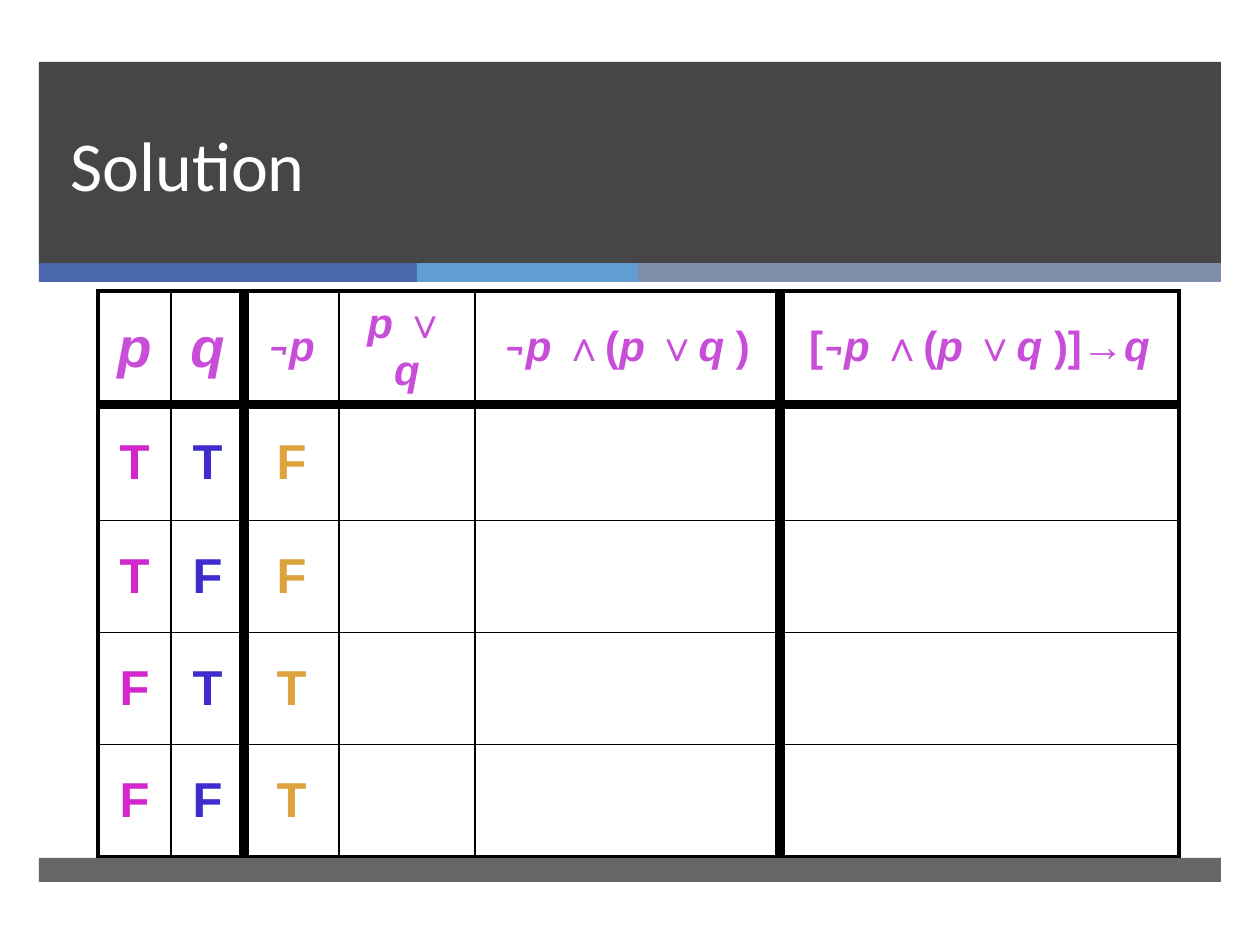
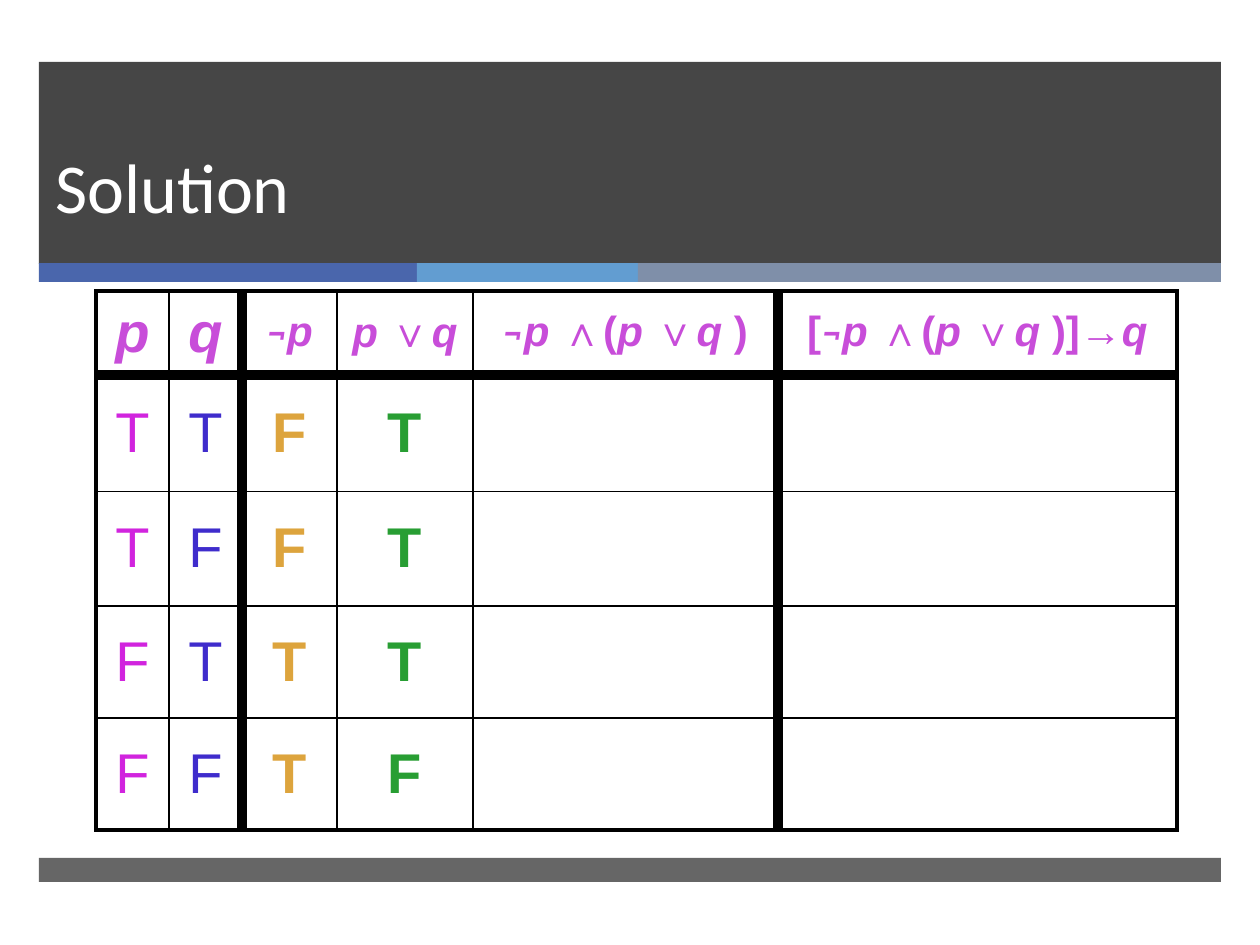
from lxml import etree
from pptx import Presentation
from pptx.dml.color import RGBColor
from pptx.enum.shapes import MSO_SHAPE
from pptx.enum.text import MSO_ANCHOR, PP_ALIGN
from pptx.oxml.ns import qn
from pptx.util import Emu, Pt

RECTANGLE = MSO_SHAPE.RECTANGLE
MIDDLE, BOTTOM = MSO_ANCHOR.MIDDLE, MSO_ANCHOR.BOTTOM
CENTER = PP_ALIGN.CENTER

PIXEL = 914400 // 126
BLACK, WHITE, DARK = "000000", "FFFFFF", "262626"
HEADER_COLOR, GOLD, BLUE, GREEN = "C84DD9", "DDA43D", "3F2CCC", "289E33"

BANDS = [
    ((39, 62, 1182, 202), DARK, 85),
    ((39, 263, 378, 19), "4A66AC", 100),
    ((417, 263, 221, 19), "629DD1", 100),
    ((638, 263, 583, 19), "7F8FA9", 100),
    ((39, 858, 1182, 24), DARK, 70),
]
TITLE_SIZE = (1076, 150)
COLUMN_WIDTHS = [73, 73, 95, 136, 305, 399]
VERTICAL_RULES = [2.25, 1, 6, 1, 1, 6, 2.25]
HORIZONTAL_RULES = [2.25, 6, 0.25, 1, 1, 2.25]

CONJUNCTION = ["¬", "p ", "∧(", "p ", "∨", "q "]


def header_formulas(disjunction):
    return [["p"], ["q"], ["¬", "p"], disjunction,
            CONJUNCTION + [")"], ["["] + CONJUNCTION + [")]→", "q"]]


SLIDES = [
    {
        "title": "Solution ", "title_at": (58, 62), "table_at": (98, 291),
        "row_heights": [84, 116, 112, 112, 112],
        "headers": header_formulas(["p ", "∨ ", "q"]),
        "truth_columns": ["TTFF", "TFTF", "FFTT"],
        "value_size": 28,
        "value_styles": [("D226CE", True), (BLUE, True), (GOLD, True)],
    },
    {
        "title": "Solution ", "title_at": (43, 84), "table_at": (96, 291),
        "row_heights": [84, 116, 115, 112, 112],
        "headers": header_formulas(["p ", "∨", "q"]),
        "truth_columns": ["TTFF", "TFTF", "FFTT", "TTTF"],
        "value_size": 32,
        "value_styles": [("D124DE", False), (BLUE, False), (GOLD, True), (GREEN, True)],
    },
]


def px(*lengths):
    return [Emu(length * PIXEL) for length in lengths]


def rgb(color):
    return RGBColor.from_string(color)


def add_run(paragraph, text, font, size, color, bold=False, italic=False):
    run = paragraph.add_run()
    run.text = text
    run.font.name = font
    run.font.size = Pt(size)
    run.font.color.rgb = rgb(color)
    run.font.bold = bold
    run.font.italic = italic


def add_band(slide, box, color, opacity):
    band = slide.shapes.add_shape(RECTANGLE, *px(*box))
    band.shadow.inherit = False
    band.line.fill.background()
    band.fill.solid()
    band.fill.fore_color.rgb = rgb(color)
    if opacity < 100:
        fill_color = band.fill._xPr.find(".//" + qn("a:srgbClr"))
        etree.SubElement(fill_color, qn("a:alpha"), val=str(opacity * 1000))


def add_title(slide, text, position):
    frame = slide.shapes.add_textbox(*px(*position, *TITLE_SIZE)).text_frame
    frame.word_wrap = True
    frame.vertical_anchor = BOTTOM
    paragraph = frame.paragraphs[0]
    paragraph.line_spacing = Pt(46)
    add_run(paragraph, text, "Calibri", 40, WHITE)


def rule_cell(cell, row, column):
    widths = {
        "a:lnL": VERTICAL_RULES[column], "a:lnR": VERTICAL_RULES[column + 1],
        "a:lnT": HORIZONTAL_RULES[row], "a:lnB": HORIZONTAL_RULES[row + 1],
    }
    properties = cell._tc.get_or_add_tcPr()
    for side, width in widths.items():
        line = etree.SubElement(properties, qn(side), w=str(Pt(width)))
        fill = etree.SubElement(line, qn("a:solidFill"))
        etree.SubElement(fill, qn("a:srgbClr"), val=BLACK)
    cell.fill.background()


def cell_paragraph(cell):
    paragraph = cell.text_frame.paragraphs[0]
    paragraph.alignment = CENTER
    spacing = etree.SubElement(paragraph._p.get_or_add_pPr(), qn("a:spcBef"))
    etree.SubElement(spacing, qn("a:spcPct"), val="20000")
    return paragraph


def add_truth_table(slide, content):
    heights = content["row_heights"]
    box = (*content["table_at"], sum(COLUMN_WIDTHS), sum(heights))
    table = slide.shapes.add_table(len(heights), len(COLUMN_WIDTHS), *px(*box)).table
    table.first_row = table.horz_banding = False
    for column, width in zip(table.columns, px(*COLUMN_WIDTHS)):
        column.width = width
    for row, height in zip(table.rows, px(*heights)):
        row.height = height
    for row in range(len(heights)):
        for column in range(len(COLUMN_WIDTHS)):
            cell = table.cell(row, column)
            cell.vertical_anchor = MIDDLE
            rule_cell(cell, row, column)

    for column, formula in enumerate(content["headers"]):
        paragraph = cell_paragraph(table.cell(0, column))
        size = 32 if len(formula) == 1 else 24
        for symbol in formula:
            font = "Karla" if symbol == "¬" else "Arial"
            italic = symbol.strip() in ("p", "q", "¬")
            add_run(paragraph, symbol, font, size, HEADER_COLOR, True, italic)

    columns = zip(content["truth_columns"], content["value_styles"])
    for column, (values, (color, bold)) in enumerate(columns):
        for row, value in enumerate(values, start=1):
            add_run(cell_paragraph(table.cell(row, column)), value, "Arial",
                    content["value_size"], color, bold)


presentation = Presentation()
presentation.slide_width, presentation.slide_height = px(1260, 945)
blank_layout = presentation.slide_layouts[6]
for content in SLIDES:
    slide = presentation.slides.add_slide(blank_layout)
    for band in BANDS:
        add_band(slide, *band)
    add_title(slide, content["title"], content["title_at"])
    add_truth_table(slide, content)
presentation.save("out.pptx")
